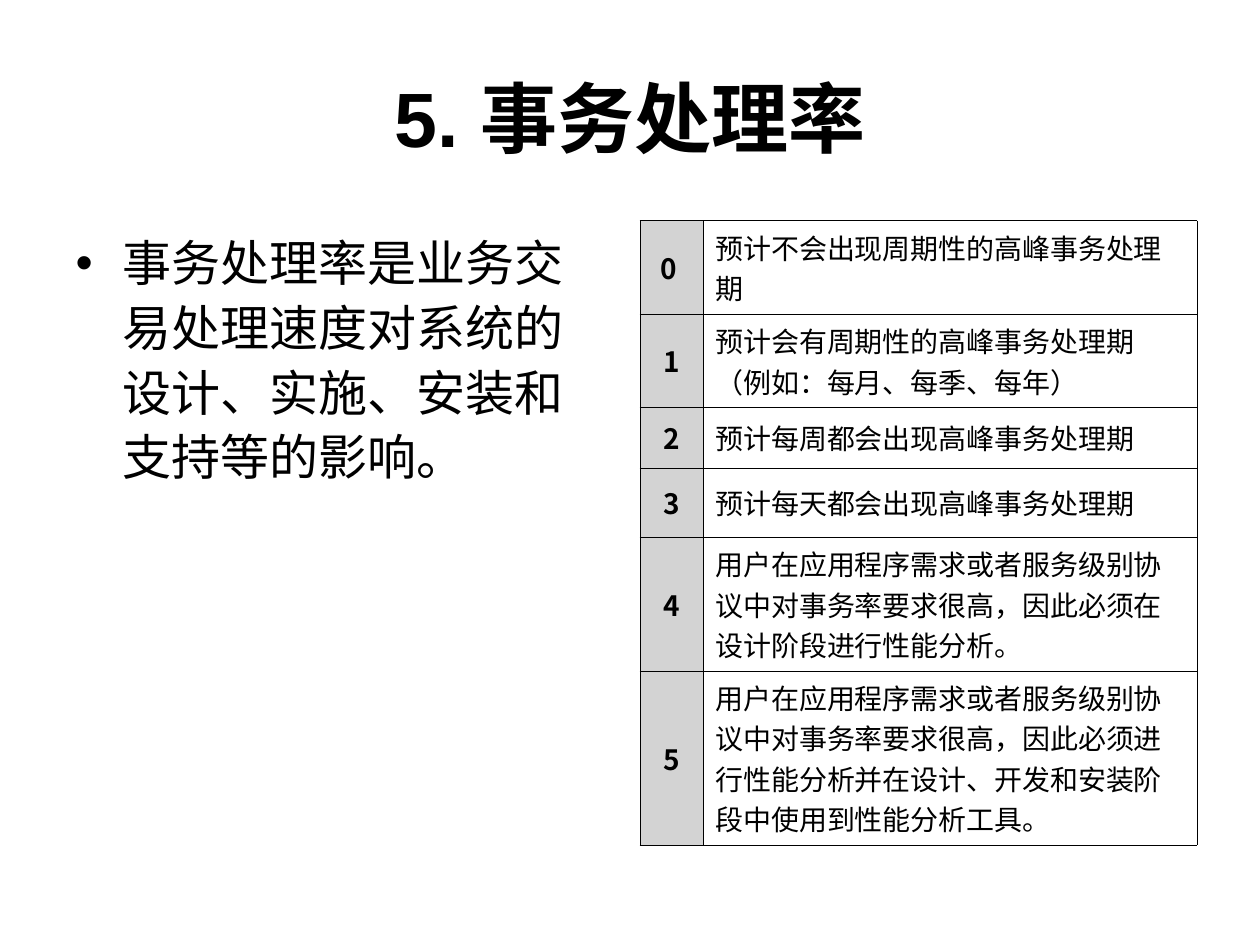
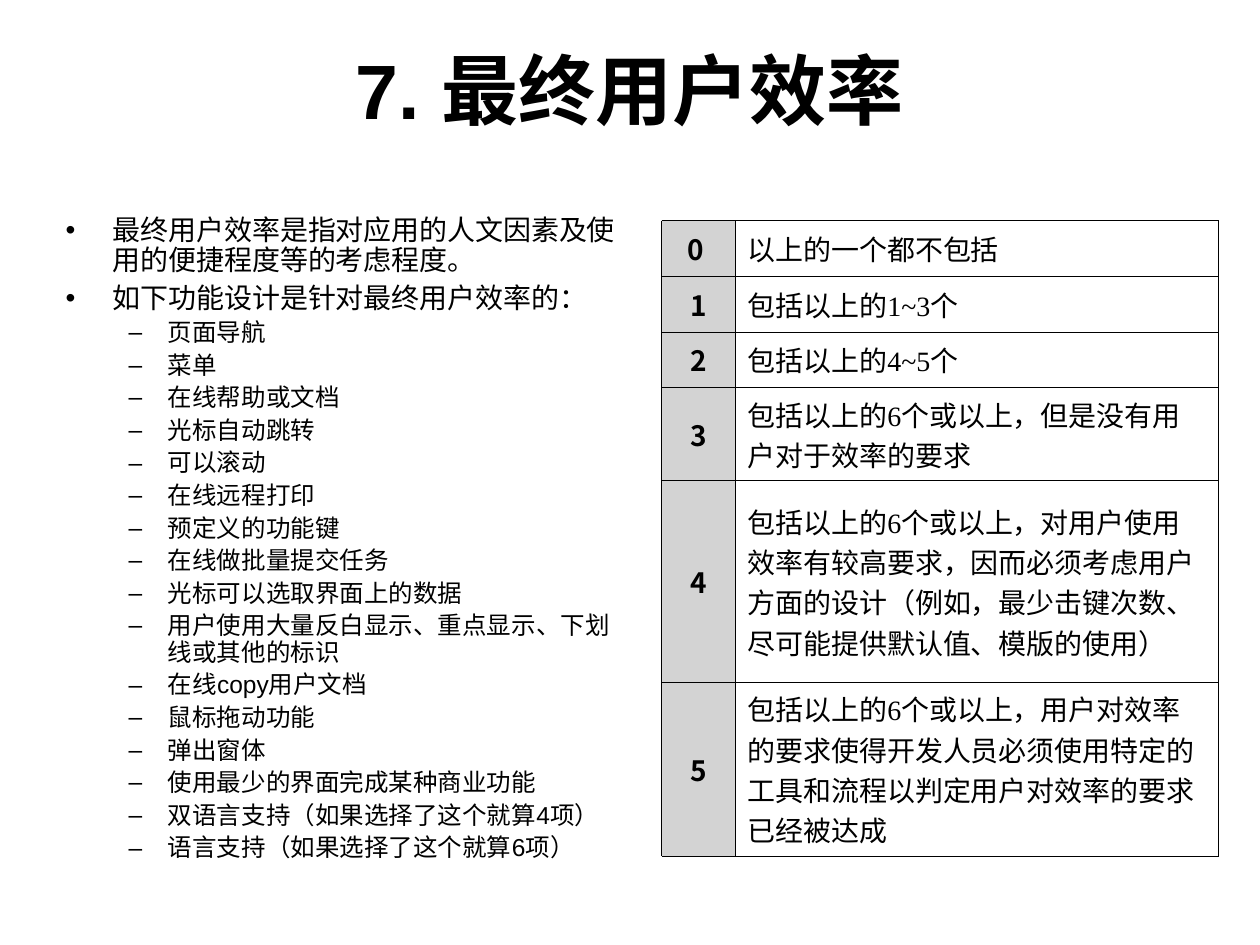
"""Build two slides that rate transaction rate and end-user efficiency."""
from dataclasses import dataclass

import pptx
import pptx.dml.color
import pptx.enum.text
import pptx.oxml
import pptx.oxml.ns
import pptx.util
from pptx.util import Cm

ALIGN = pptx.enum.text.PP_ALIGN
MIDDLE = pptx.enum.text.MSO_ANCHOR.MIDDLE


@dataclass(frozen=True)
class Theme:
    """Colours, fonts and type sizes shared by the slides."""

    ink: str = "000000"
    score_fill: str = "D3D3D3"
    heading_font: str = "Arial"
    cell_font: str = "Times New Roman"
    cjk_font: str = "Noto Sans CJK SC"
    title_size: int = 44
    lead_size: int = 28
    point_size: int = 16
    subpoint_size: int = 14
    cell_size: int = 16
    border: float = 0.34


THEME = Theme()
HANGING = (0.95, -0.95)
SUB_HANGING = (2.06, -0.79)

RATE_POINTS = [(0, "事务处理率是业务交易处理速度对系统的设计、实施、安装和支持等的影响。")]
RATE_SCORES = [
    "预计不会出现周期性的高峰事务处理期",
    "预计会有周期性的高峰事务处理期（例如：每月、每季、每年）",
    "预计每周都会出现高峰事务处理期",
    "预计每天都会出现高峰事务处理期",
    "用户在应用程序需求或者服务级别协议中对事务率要求很高，因此必须在设计阶段进行性能分析。",
    "用户在应用程序需求或者服务级别协议中对事务率要求很高，"
    "因此必须进行性能分析并在设计、开发和安装阶段中使用到性能分析工具。",
]
EFFICIENCY_POINTS = [
    (0, "最终用户效率是指对应用的人文因素及使用的便捷程度等的考虑程度。"),
    (0, "如下功能设计是针对最终用户效率的："),
    (1, "页面导航"),
    (1, "菜单"),
    (1, "在线帮助或文档"),
    (1, "光标自动跳转"),
    (1, "可以滚动"),
    (1, "在线远程打印"),
    (1, "预定义的功能键"),
    (1, "在线做批量提交任务"),
    (1, "光标可以选取界面上的数据"),
    (1, "用户使用大量反白显示、重点显示、下划线或其他的标识"),
    (1, "在线copy用户文档"),
    (1, "鼠标拖动功能"),
    (1, "弹出窗体"),
    (1, "使用最少的界面完成某种商业功能"),
    (1, "双语言支持（如果选择了这个就算4项）"),
    (1, "语言支持（如果选择了这个就算6项）"),
]
EFFICIENCY_SCORES = [
    "以上的一个都不包括",
    "包括以上的1~3个",
    "包括以上的4~5个",
    "包括以上的6个或以上，但是没有用户对于效率的要求",
    "包括以上的6个或以上，对用户使用效率有较高要求，"
    "因而必须考虑用户方面的设计（例如，最少击键次数、尽可能提供默认值、模版的使用）",
    "包括以上的6个或以上，用户对效率的要求使得开发人员必须使用特定的工具和流程"
    "以判定用户对效率的要求已经被达成",
]


def add_xml(parent, xml):
    """Append a DrawingML fragment to an element."""
    head, tail = xml.split(" ", 1)
    ns = pptx.oxml.ns.nsdecls("a")
    parent.append(pptx.oxml.parse_xml(f"{head} {ns} {tail}"))


def write(p, text, *, size, font, cjk, bold=False, align=ALIGN.LEFT, level=0,
          indent=(0, 0), bullet=None, line=None, before=0):
    """Fill a paragraph with one formatted run."""
    p.level = level
    p.alignment = align
    pPr = p._p.get_or_add_pPr()
    pPr.set("marL", str(Cm(indent[0])))
    pPr.set("indent", str(Cm(indent[1])))
    if bullet:
        add_xml(pPr, f'<a:buClr ><a:srgbClr val="{THEME.ink}"/></a:buClr>')
        add_xml(pPr, f'<a:buChar char="{bullet}"/>')
    p.space_before = pptx.util.Pt(before)
    if line:
        p.line_spacing = line
    r = p.add_run()
    r.text = text
    r.font.size = pptx.util.Pt(size)
    r.font.bold = bold
    r.font.name = font
    r.font.color.rgb = pptx.dml.color.RGBColor.from_string(THEME.ink)
    rPr = r._r.get_or_add_rPr()
    rPr.set("lang", "zh-CN")
    add_xml(rPr, f'<a:ea typeface="{cjk}"/>')


def place(sp, left, top, width, height):
    """Move a placeholder, sizes in centimetres, and return its text frame."""
    sp.left, sp.top, sp.width, sp.height = map(Cm, (left, top, width, height))
    tf = sp.text_frame
    tf.word_wrap = True
    tf.auto_size = pptx.enum.text.MSO_AUTO_SIZE.NONE
    return tf


def add_title(s, text, top):
    """Write the centred slide title."""
    tf = place(s.shapes.title, 1.27, top, 22.86, 3.18)
    tf.vertical_anchor = MIDDLE
    write(tf.paragraphs[0], text, size=THEME.title_size, bold=True, align=ALIGN.CENTER,
          font=THEME.heading_font, cjk=THEME.heading_font)


def add_points(s, points, box, sizes, line):
    """Write a two-level bulleted list whose gaps are a quarter of the type size."""
    tf = place(s.placeholders[1], *box)
    for i, (level, text) in enumerate(points):
        p = tf.add_paragraph() if i else tf.paragraphs[0]
        write(p, text, size=sizes[level], level=level, line=line,
              before=sizes[level] / 4 if i else 0,
              indent=(HANGING, SUB_HANGING)[level], bullet="•–"[level],
              font=THEME.heading_font, cjk=THEME.heading_font)


def style_cell(cell, fill=None):
    """Give a cell thin borders, a middle anchor and an optional fill."""
    tcPr = cell._tc.get_or_add_tcPr()
    width = pptx.util.Pt(THEME.border)
    for side in "LRTB":
        add_xml(tcPr, f'<a:ln{side} w="{width}"><a:solidFill><a:srgbClr val="{THEME.ink}"/>'
                      f'</a:solidFill></a:ln{side}>')
    cell.vertical_anchor = MIDDLE
    if fill:
        cell.fill.solid()
        cell.fill.fore_color.rgb = pptx.dml.color.RGBColor.from_string(fill)
    else:
        cell.fill.background()


def add_score_table(s, scores, left, cols, rows):
    """Add the table that explains each score from 0 upwards."""
    table = s.shapes.add_table(len(scores), 2, Cm(left), Cm(4.45),
                               Cm(sum(cols)), Cm(sum(rows))).table
    table.first_row = table.horz_banding = False
    for column, width in zip(table.columns, cols):
        column.width = Cm(width)
    for i, (text, height) in enumerate(zip(scores, rows)):
        table.rows[i].height = Cm(height)
        score, meaning = table.cell(i, 0), table.cell(i, 1)
        style_cell(score, THEME.score_fill)
        style_cell(meaning)
        write(score.text_frame.paragraphs[0], str(i) if i else "0 ", bold=True,
              size=THEME.cell_size, align=ALIGN.CENTER, indent=HANGING,
              font=THEME.cjk_font, cjk=THEME.cjk_font)
        write(meaning.text_frame.paragraphs[0], text, size=THEME.cell_size,
              font=THEME.cell_font, cjk=THEME.cjk_font)


def main():
    """Build and save the slides."""
    prs = pptx.Presentation()
    prs.slide_width, prs.slide_height = Cm(25.4), Cm(19.05)
    layout = prs.slide_layouts[1]

    s = prs.slides.add_slide(layout)
    add_title(s, "5. 事务处理率", 0.76)
    add_points(s, RATE_POINTS, (1.27, 4.45, 11.23, 12.57), (THEME.lead_size,), 1.1)
    add_score_table(s, RATE_SCORES, 12.9, (1.27, 9.96), (1.63, 1.63, 1.22, 1.4, 2.51, 3.07))

    s = prs.slides.add_slide(layout)
    add_title(s, "7. 最终用户效率", 0.2)
    add_points(s, EFFICIENCY_POINTS, (1.07, 4.24, 11.86, 13.34),
               (THEME.point_size, THEME.subpoint_size), 0.9)
    add_score_table(s, EFFICIENCY_SCORES, 13.34, (1.48, 9.74),
                    (1.12, 1.12, 1.12, 1.75, 4.06, 3.33))

    prs.save("out.pptx")


if __name__ == "__main__":
    main()
